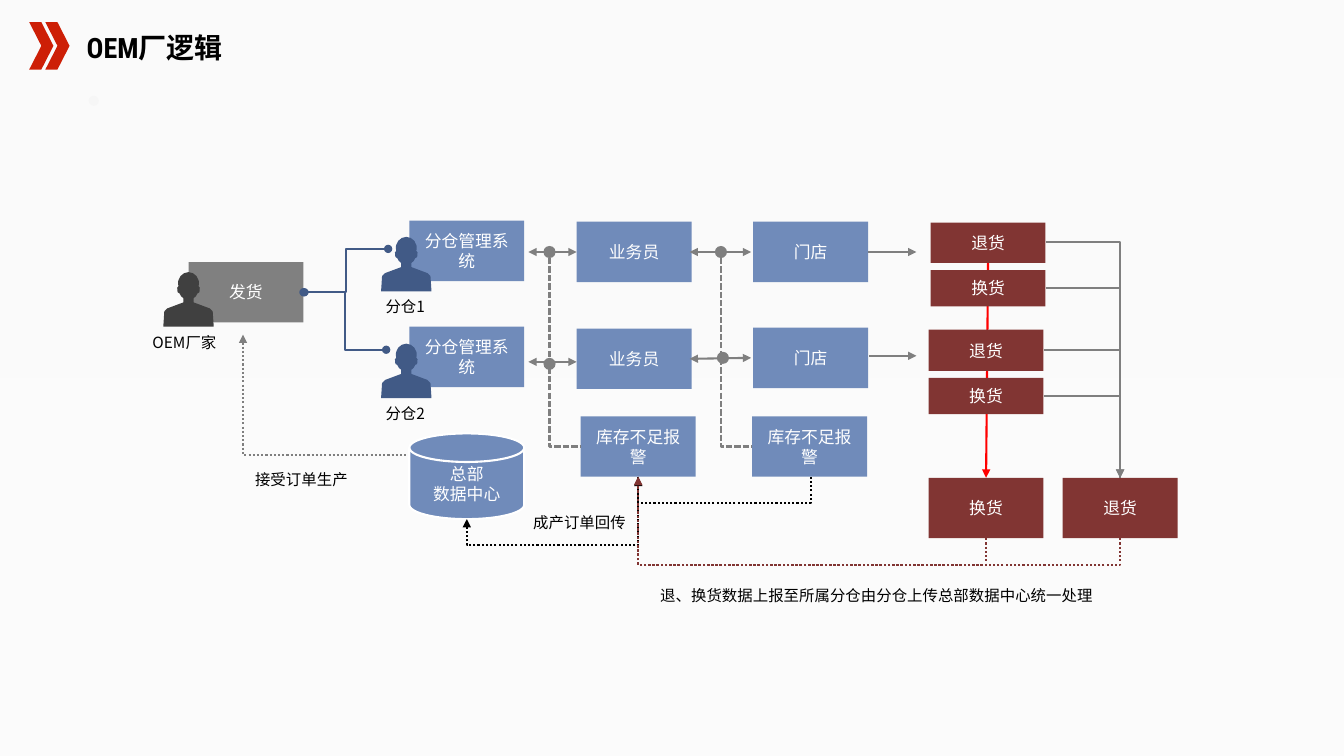
import copy
import pptx
import pptx.util
import pptx.dml.color
import pptx.enum.dml
import pptx.enum.shapes
import pptx.enum.text
import pptx.oxml
import pptx.oxml.ns
from pptx.util import Inches

SHAPE = pptx.enum.shapes.MSO_SHAPE
CONNECTOR = pptx.enum.shapes.MSO_CONNECTOR
DOT = pptx.enum.dml.MSO_LINE.ROUND_DOT
DASH = pptx.enum.dml.MSO_LINE.SQUARE_DOT
CENTER, LEFT = pptx.enum.text.PP_ALIGN.CENTER, pptx.enum.text.PP_ALIGN.LEFT
BLUE, NAVY, MAROON, GREY, BLACK, WHITE = "708BBA", "415A86", "813533", "7F7F7F", "000000", "FFFFFF"
CJK = "Noto Sans CJK SC"
BOX_W, BOX_H = 1.14, 0.6
qn = pptx.oxml.ns.qn


def paint(s, color):
    """Give a shape a plain fill, without line or shadow."""
    s.shadow.inherit = False
    s.fill.solid()
    s.fill.fore_color.rgb = pptx.dml.color.RGBColor.from_string(color)
    s.line.fill.background()


def write(s, text, size=12, color=WHITE, align=CENTER, name=CJK, bold=False):
    """Put text on a shape; a vertical tab makes a line break."""
    s.text_frame.word_wrap = True
    p = s.text_frame.paragraphs[0]
    p.text = text
    p.alignment = align
    for r in p.runs:
        for key, value in {"size": pptx.util.Pt(size), "name": name, "bold": bold}.items():
            setattr(r.font, key, value)
        r.font.color.rgb = pptx.dml.color.RGBColor.from_string(color)
        r.font._element.append(r.font._element.makeelement(qn("a:ea"), {"typeface": CJK}))


prs = pptx.Presentation()
prs.slide_width, prs.slide_height = Inches(13.33), Inches(7.5)
slide = prs.slides.add_slide(prs.slide_layouts[6])
shapes = slide.shapes

fill = slide.background.fill
fill.gradient()
fill.gradient_angle = 270
first = slide._element.find(".//" + qn("a:gs"))
middle = copy.deepcopy(first)
middle.set("pos", "50000")
first.addnext(middle)
for stop, color in zip(fill.gradient_stops, ("FAFAFA", "FBFBFB", "FCFCFC")):
    stop.color.rgb = pptx.dml.color.RGBColor.from_string(color)

# Red line that runs behind the return and exchange boxes
red_line = shapes.add_connector(CONNECTOR.STRAIGHT, Inches(9.8), Inches(2.61), Inches(9.78), Inches(4.74))

# Filled shapes: header marks, then the boxes of the flow
boxes = {}
for key, kind, x, y, w, h, color, text in (
    ("dot", SHAPE.OVAL, 0.88, 0.95, 0.1, 0.1, "F6F6F6", ""),
    ("chevron1", SHAPE.CHEVRON, 0.29, 0.22, 0.24, 0.47, "CD1F06", ""),
    ("chevron2", SHAPE.CHEVRON, 0.45, 0.22, 0.24, 0.47, "CD1F06", ""),
    ("data", SHAPE.FLOWCHART_MAGNETIC_DISK, 4.06, 4.3, BOX_W, 0.85, BLUE, "总部\v数据中心"),
    ("ship", SHAPE.RECTANGLE, 1.87, 2.6, BOX_W, BOX_H, "808080", "发货"),
    ("depot1", SHAPE.RECTANGLE, 4.06, 2.19, BOX_W, BOX_H, BLUE, "分仓管理系统"),
    ("depot2", SHAPE.RECTANGLE, 4.06, 3.24, BOX_W, BOX_H, BLUE, "分仓管理系统"),
    ("sales1", SHAPE.RECTANGLE, 5.72, 2.2, BOX_W, BOX_H, BLUE, "业务员"),
    ("sales2", SHAPE.RECTANGLE, 5.72, 3.26, BOX_W, BOX_H, BLUE, "业务员"),
    ("store1", SHAPE.RECTANGLE, 7.47, 2.2, BOX_W, BOX_H, BLUE, "门店"),
    ("store2", SHAPE.RECTANGLE, 7.47, 3.25, BOX_W, BOX_H, BLUE, "门店"),
    ("alarm1", SHAPE.RECTANGLE, 5.76, 4.13, BOX_W, BOX_H, BLUE, "库存不足报警"),
    ("alarm2", SHAPE.RECTANGLE, 7.46, 4.13, BOX_W, BOX_H, BLUE, "库存不足报警"),
    ("return1", SHAPE.RECTANGLE, 9.23, 2.21, BOX_W, 0.4, MAROON, "退货"),
    ("swap1", SHAPE.RECTANGLE, 9.23, 2.68, BOX_W, 0.36, MAROON, "换货"),
    ("return2", SHAPE.RECTANGLE, 9.21, 3.27, BOX_W, 0.41, MAROON, "退货"),
    ("swap2", SHAPE.RECTANGLE, 9.21, 3.75, BOX_W, 0.36, MAROON, "换货"),
    ("swap", SHAPE.RECTANGLE, 9.21, 4.74, BOX_W, BOX_H, MAROON, "换货"),
    ("return", SHAPE.RECTANGLE, 10.54, 4.74, BOX_W, BOX_H, MAROON, "退货"),
):
    s = boxes[key] = shapes.add_shape(kind, Inches(x), Inches(y), Inches(w), Inches(h))
    paint(s, color)
    if text:
        write(s, text)
boxes["data"].line.color.rgb = pptx.dml.color.RGBColor.from_string(WHITE)
boxes["data"].line.width = pptx.util.Pt(1.5)

# Person icons: right half from the crown down, mirrored to the left;
# a step holds the end point alone, or two control points and the end point
right_half = [
    [(0.06, 0), (0.12, 0.06), (0.1, 0.14)],
    [(0.11, 0.15), (0.12, 0.16), (0.11, 0.17)],
    [(0.11, 0.19)],
    [(0.11, 0.2), (0.1, 0.21), (0.09, 0.21)],
    [(0.08, 0.23), (0.07, 0.25), (0.05, 0.26)],
    [(0.05, 0.3)],
    [(0.21, 0.36)],
    [(0.22, 0.37), (0.23, 0.38), (0.24, 0.39)],
    [(0.25, 0.54)],
]
starts = [(0, 0)] + [step[-1] for step in right_half[:-1]]
left_half = [[(-x, y) for x, y in step[-2::-1] + [start]] for start, step in zip(starts, right_half)]
steps = right_half + [[(-0.25, 0.54)]] + left_half[::-1]
for x, y, color in ((1.87, 2.7, "404040"), (4.03, 2.35, NAVY), (4.03, 3.41, NAVY)):
    builder = shapes.build_freeform(Inches(x), Inches(y))
    builder.add_line_segments([(Inches(x + step[-1][0]), Inches(y + step[-1][1])) for step in steps])
    s = builder.convert_to_shape()
    paint(s, color)
    for segment, step in zip(list(s._element.iter(qn("a:lnTo"))), steps):
        if len(step) == 3:
            curve = segment.makeelement(qn("a:cubicBezTo"))
            for dx, dy in step:
                point = {"x": str(Inches(x + dx) - s.left), "y": str(Inches(y + dy) - s.top)}
                curve.append(segment.makeelement(qn("a:pt"), point))
            segment.getparent().replace(segment, curve)

# Title and labels
title = shapes.add_textbox(Inches(0.86), Inches(0.3), Inches(3.44), Inches(0.34))
tf = title.text_frame
tf.vertical_anchor = pptx.enum.text.MSO_ANCHOR.MIDDLE
for side in ("left", "right", "top", "bottom"):
    setattr(tf, f"margin_{side}", 0)
write(title, "OEM厂逻辑", 20, BLACK, LEFT, "Roboto Condensed", True)
for x, y, w, text, align in (
    (1.4, 3.26, 0.86, "OEM厂家", CENTER),
    (3.72, 2.9, 0.6, "分仓1", CENTER),
    (3.72, 3.96, 0.6, "分仓2", CENTER),
    (2.42, 4.61, 1.14, "接受订单生产", CENTER),
    (5.19, 5.04, 1.14, "成产订单回传", LEFT),
    (6.43, 5.77, 4.53, "退、换货数据上报至所属分仓由分仓上传总部数据中心统一处理", CENTER),
):
    s = shapes.add_textbox(Inches(x), Inches(y), Inches(w), Inches(0.28))
    write(s, text, 11, BLACK, align)

# Elbow lines: start, end, leaves vertically, bend (None for one corner)
lines = [(red_line, "FF0000", None, None, "triangle")]
for x1, y1, x2, y2, vertical, bend, color, dash, head, tail in (
    (3.01, 2.9, 3.85, 2.47, False, 0.5, NAVY, None, "oval", "oval"),
    (3.02, 2.9, 3.83, 3.47, False, 0.5, NAVY, None, "oval", "oval"),
    (6.33, 4.73, 4.63, 5.15, True, 1.62, BLACK, DOT, None, "triangle"),
    (8.04, 4.73, 6.33, 4.74, True, 26, BLACK, DOT, None, "triangle"),
    (5.45, 2.56, 5.76, 4.43, True, None, GREY, DASH, None, None),
    (7.15, 2.56, 7.46, 4.43, True, None, GREY, DASH, None, None),
    (10.37, 2.4, 11.11, 4.74, False, None, GREY, None, None, "triangle"),
    (10.37, 2.86, 11.11, 4.74, False, None, GREY, None, None, "triangle"),
    (10.35, 3.47, 11.11, 4.56, False, None, GREY, None, None, None),
    (10.35, 3.93, 11.11, 4.74, False, None, GREY, None, None, None),
    (2.41, 3.32, 4.03, 4.51, True, None, GREY, DOT, "triangle", None),
    (9.78, 5.34, 6.33, 4.73, True, -0.43, MAROON, DOT, None, "triangle"),
    (11.11, 5.34, 6.33, 4.73, True, -0.43, MAROON, DOT, None, "triangle"),
):
    ends = x1, y1, x2, y2
    if vertical:  # the same route before a quarter turn about its centre
        cx, cy, dx, dy = (x1 + x2) / 2, (y1 + y2) / 2, x2 - x1, y2 - y1
        ends = cx - dy / 2, cy + dx / 2, cx + dy / 2, cy - dx / 2
    s = shapes.add_connector(CONNECTOR.ELBOW, *map(Inches, ends))
    spPr = s._element.spPr
    if vertical:
        spPr.find(qn("a:xfrm")).set("rot", "5400000")
    geom = spPr.find(qn("a:prstGeom"))
    if bend is None:
        geom.set("prst", "bentConnector2")
    else:
        guide = {"name": "adj1", "fmla": f"val {round(bend * 100000)}"}
        geom.find(qn("a:avLst")).append(geom.makeelement(qn("a:gd"), guide))
    lines.append((s, color, dash, head, tail))

# Straight arrows, joined where they meet the middle of a side
for x1, y1, x2, y2, begin, end, head in (
    (5.24, 2.5, 5.72, 2.5, None, "sales1", "triangle"),
    (5.24, 3.59, 5.72, 3.59, None, None, "triangle"),
    (6.84, 2.5, 7.45, 2.5, None, None, "triangle"),
    (6.84, 3.56, 7.45, 3.55, None, None, "triangle"),
    (8.61, 2.5, 9.09, 2.5, "store1", None, None),
    (8.62, 3.53, 9.09, 3.53, None, None, None),
):
    s = shapes.add_connector(CONNECTOR.STRAIGHT, *map(Inches, (x1, y1, x2, y2)))
    if begin:
        s.begin_connect(boxes[begin], 3)
    if end:
        s.end_connect(boxes[end], 1)
    lines.append((s, GREY, None, head, "triangle"))
red_line.begin_connect(boxes["return1"], 2)
red_line.end_connect(boxes["swap"], 0)

for s, color, dash, head, tail in lines:
    s.line.color.rgb = pptx.dml.color.RGBColor.from_string(color)
    s.line.width = pptx.util.Pt(1.5)
    if dash:
        s.line.dash_style = dash
    ln = s.line._get_or_add_ln()
    for tag, arrow in (("a:headEnd", head), ("a:tailEnd", tail)):
        if arrow:
            ln.append(ln.makeelement(qn(tag), {"type": arrow}))
    s._element.spPr.append(ln.makeelement(qn("a:effectLst")))

# Junction dots
for x, y in ((5.39, 2.44), (5.39, 3.55), (7.09, 2.44), (7.11, 3.49)):
    paint(shapes.add_shape(SHAPE.OVAL, Inches(x), Inches(y), Inches(0.12), Inches(0.12)), GREY)

prs.save("out.pptx")
